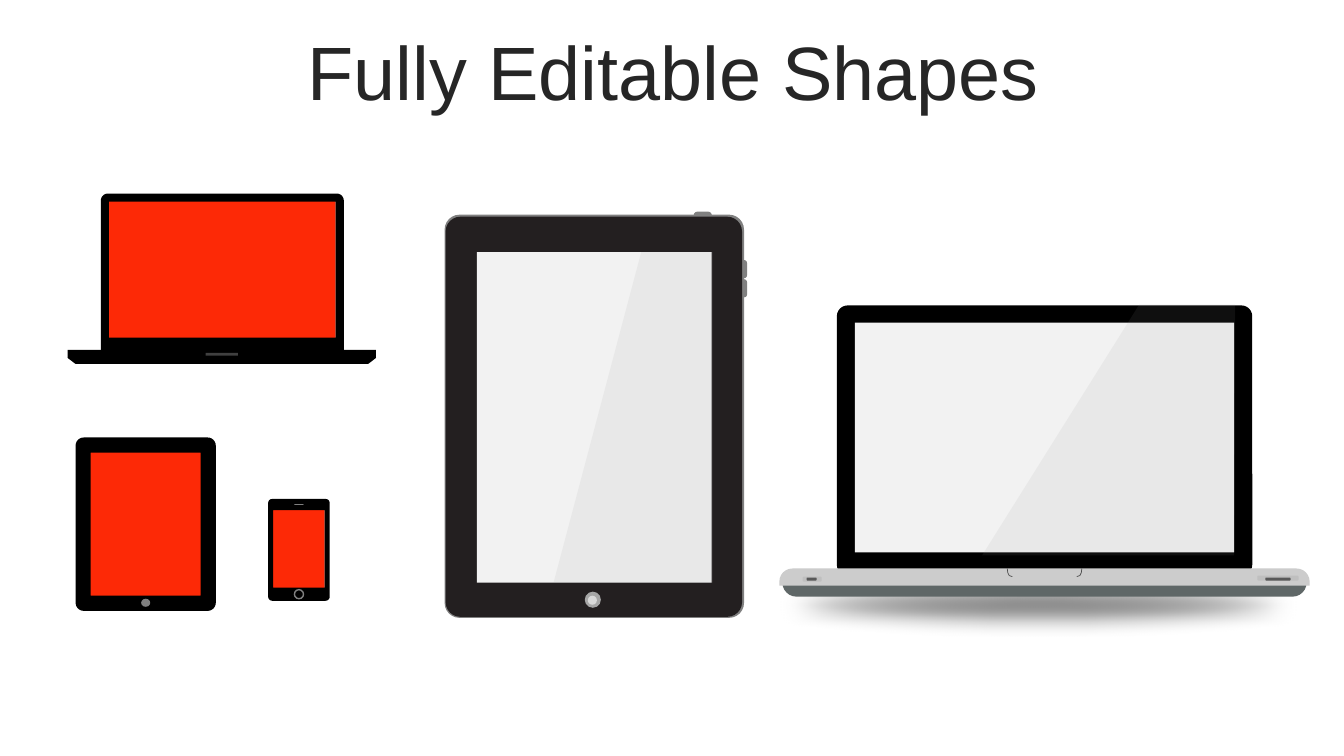
import math

from lxml import etree
from pptx import Presentation
from pptx import util as u
from pptx.dml.color import RGBColor
from pptx.enum import shapes, text
from pptx.oxml.ns import qn

CELL = u.Inches(0.1)  # the grid has 133.3 columns and 75 rows
BLACK, RED, GREY, SCREEN, SHEEN = "000000", "FD2906", "808080", "F2F2F2", "999999"
RECTANGLE = shapes.MSO_SHAPE.RECTANGLE
ROUNDED = shapes.MSO_SHAPE.ROUNDED_RECTANGLE
OVAL = shapes.MSO_SHAPE.OVAL


def cells(count):
    return u.Emu(round(count * CELL))


def colour(value):
    return RGBColor.from_string(value)


def paint(shape, fill, opacity=None):
    shape.shadow.inherit = False
    shape.line.fill.background()
    if fill is None:
        shape.fill.background()
        return shape
    shape.fill.solid()
    shape.fill.fore_color.rgb = colour(fill)
    if opacity is not None:
        tint = shape._element.spPr.find(qn("a:solidFill"))[0]
        etree.SubElement(tint, qn("a:alpha"), val=str(round(opacity * 100000)))
    return shape


def add_preset(parent, kind, left, top, width, height, fill, adjust=None):
    shape = parent.shapes.add_shape(
        kind, cells(left), cells(top), cells(width), cells(height))
    if adjust is not None:
        shape.adjustments[0] = adjust
    return paint(shape, fill)


def add_outline(parent, contours, fill, opacity=None, close=True):
    """Draw one freeform; a second contour cuts a hole in the first."""
    contours = [[(cells(x), cells(y)) for x, y in points] for points in contours]
    builder = parent.shapes.build_freeform(*contours[0][0], scale=1.0)
    for number, points in enumerate(contours):
        if number:
            builder.move_to(*points[0])
        builder.add_line_segments(points[1:], close=close)
    return paint(builder.convert_to_shape(), fill, opacity)


def box(left, top, right, bottom):
    return [(left, top), (left, bottom), (right, bottom), (right, top)]


def rounded_box(left, top, right, bottom, upper=0.0, lower=0.0):
    """Points of a box with its own radius for the upper and lower corners."""
    points = []
    corners = [(left, top, 1, 1, upper, 180), (right, top, -1, 1, upper, 270),
               (right, bottom, -1, -1, lower, 0), (left, bottom, 1, -1, lower, 90)]
    for x, y, inward_x, inward_y, radius, start in corners:
        for angle in range(start, start + 91, 15) if radius else [start]:
            turn = math.radians(angle)
            points.append((x + radius * (inward_x + math.cos(turn)) if radius else x,
                           y + radius * (inward_y + math.sin(turn)) if radius else y))
    return points


def add_title(slide, words):
    frame = slide.shapes.add_textbox(
        cells(3.5), cells(3.6), cells(126.6), cells(7.9)).text_frame
    frame.word_wrap = True
    frame.vertical_anchor = text.MSO_ANCHOR.MIDDLE
    paragraph = frame.paragraphs[0]
    paragraph.alignment = text.PP_ALIGN.CENTER
    paragraph.line_spacing = 0.9
    run = paragraph.add_run()
    run.text = words
    run.font.name, run.font.size = "Arial", u.Pt(54)
    run.font.color.rgb = colour("262626")


def add_soft_shadow(slide):
    shadow = add_preset(slide, OVAL, 70.5, 56.7, 65, 6.6, GREY)
    effects = shadow._element.spPr.find(qn("a:effectLst"))
    etree.SubElement(effects, qn("a:softEdge"), rad=str(cells(2)))


def add_framed_screen(parent, screen, outer, opening, upper, lower):
    add_preset(parent, RECTANGLE, *screen, RED)
    add_outline(parent, [rounded_box(*outer, upper, lower), box(*opening)], BLACK)


def add_red_laptop(slide):
    group = slide.shapes.add_group_shape()
    add_framed_screen(group, (10.4, 19.7, 22.9, 14.3), (10, 19.2, 34.1, 34.7),
                      (10.8, 20, 33.3, 33.5), 0.7, 0)
    add_preset(group, RECTANGLE, 6.7, 34.7, 30.6, 0.8, BLACK)
    foot = add_preset(group, shapes.MSO_SHAPE.TRAPEZOID, 6.7, 35.5, 30.6, 0.6, BLACK, 1.3)
    foot.rotation = 180
    add_preset(group, RECTANGLE, 20.4, 35, 3.2, 0.3, "404040")


def add_red_tablet(slide):
    group = slide.shapes.add_group_shape()
    add_framed_screen(group, (8.3, 44.3, 12.3, 16), (7.5, 43.4, 21.4, 60.6),
                      (9, 44.9, 19.9, 59.1), 0.8, 0.8)
    add_preset(group, OVAL, 14, 59.4, 0.9, 0.8, GREY)


def add_red_phone(slide):
    group = slide.shapes.add_group_shape()
    add_framed_screen(group, (27.1, 50.3, 5.1, 8.4), (26.6, 49.5, 32.7, 59.6),
                      (27.1, 50.6, 32.2, 58.3), 0.4, 0.4)
    add_preset(group, ROUNDED, 29.2, 50, 0.9, 0.1, GREY, 0.5)
    ring = add_preset(group, OVAL, 29.2, 58.5, 0.9, 0.9, None)
    ring.line.color.rgb = colour(GREY)
    ring.line.width = u.Pt(1)


def add_large_tablet(slide):
    group = slide.shapes.add_group_shape()
    add_preset(group, ROUNDED, 68.8, 21, 1.8, 0.7, GREY, 0.5)
    for top in (27.7, 25.8):
        add_preset(group, ROUNDED, 73.5, top, 0.6, 1.8, GREY, 0.5)
    add_preset(group, ROUNDED, 44.1, 21.3, 29.7, 40, GREY, 0.05)
    add_preset(group, ROUNDED, 44.2, 21.5, 29.4, 39.7, "231F20", 0.05)
    add_preset(group, RECTANGLE, 47.3, 25, 23.3, 32.8, SCREEN)
    add_outline(group, [[(63.6, 25), (70.7, 25), (70.7, 57.8), (54.9, 57.8)]], SHEEN, 0.1)
    add_preset(group, OVAL, 58, 58.7, 1.6, 1.6, "A6A6A6")
    add_preset(group, OVAL, 58.3, 59.1, 0.9, 0.9, "D9D9D9")


def add_large_laptop(slide):
    group = slide.shapes.add_group_shape()
    add_outline(group, [rounded_box(77.6, 57.6, 129.6, 59.2, 0, 1.4)], "5F6767")
    add_preset(group, ROUNDED, 83, 30.3, 41.2, 26.8, BLACK, 0.04)
    add_preset(group, RECTANGLE, 84.8, 32, 37.6, 22.8, SCREEN)
    add_outline(group, [rounded_box(77.3, 56.4, 129.9, 58.1, 1.3, 0)], "CCCCCC")
    middle = 103.6
    for side in (-1, 1):
        notch = [(middle + side * offset, row) for offset, row in
                 ((3.7, 56.4), (3.65, 56.8), (3.5, 57.1), (3.2, 57.2))]
        curve = add_outline(group, [notch], None, close=False)
        curve.line.color.rgb = colour("4D4D4D")
        curve.line.width = u.Pt(0.5)
    for left, top, width, height, fill in (
            (79.6, 57.2, 1.9, 0.5, "BFBFBF"), (80, 57.3, 1, 0.3, "595959"),
            (124.7, 57.1, 4.1, 0.5, "BFBFBF"), (125.5, 57.3, 2.5, 0.3, "595959")):
        add_preset(group, ROUNDED, left, top, width, height, fill, 0.28)
    add_outline(group, [[(113, 30.2), (122.5, 30.2), (122.4, 55.1), (97.4, 55.1)]], SHEEN, 0.1)


def main():
    presentation = Presentation()
    presentation.slide_width, presentation.slide_height = u.Inches(13.33), u.Inches(7.5)
    slide = presentation.slides.add_slide(presentation.slide_layouts[6])
    add_soft_shadow(slide)
    add_title(slide, "Fully Editable Shapes")
    add_red_laptop(slide)
    add_red_tablet(slide)
    add_red_phone(slide)
    add_large_tablet(slide)
    add_large_laptop(slide)
    presentation.save("out.pptx")


if __name__ == "__main__":
    main()
